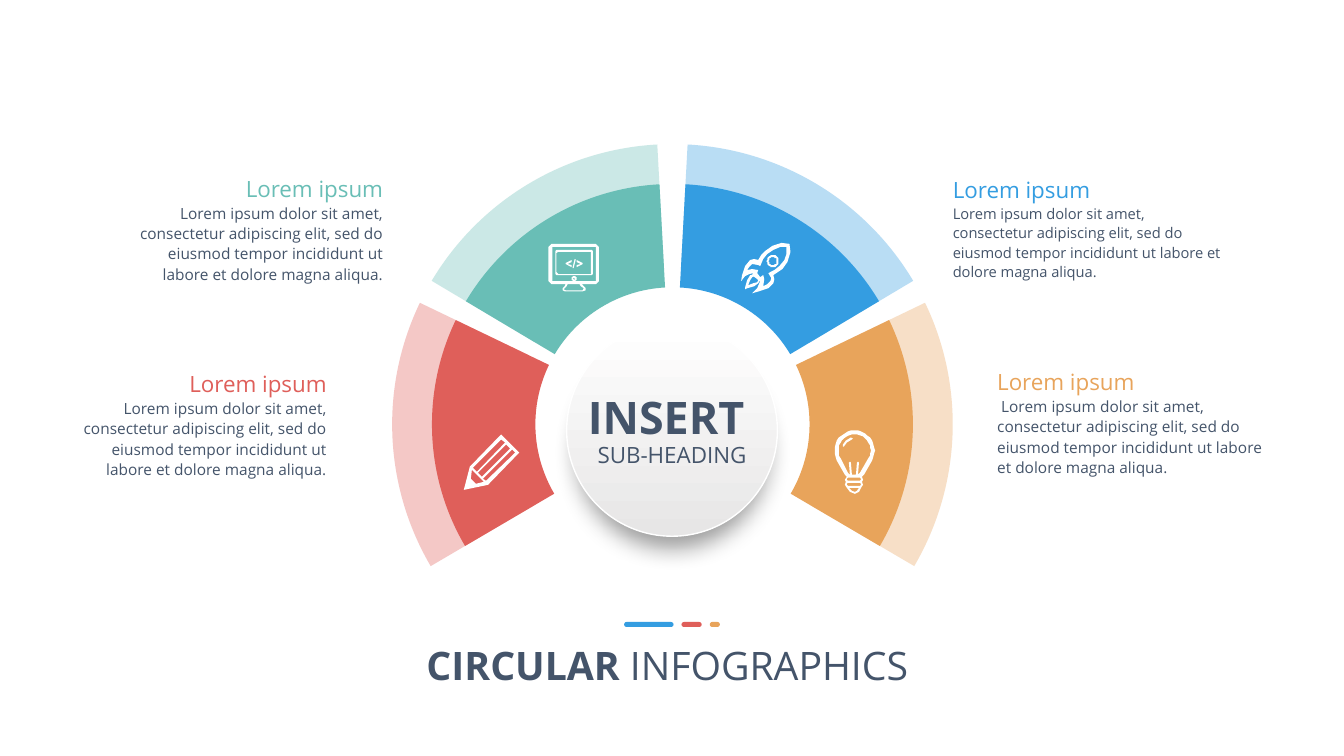
from dataclasses import dataclass
from math import cos, radians, sin

from lxml.etree import SubElement
from pptx import Presentation
from pptx.dml.color import RGBColor
from pptx.enum.shapes import MSO_SHAPE
from pptx.enum.text import MSO_ANCHOR, MSO_AUTO_SIZE, PP_ALIGN
from pptx.oxml.ns import qn
from pptx.util import Inches, Pt

# The grid has square cells of a hundredth of an inch.
CELL = Inches(0.01)
COLS, ROWS = 1333, 750
CENTRE = (667, 421)
FONT = "Open Sans"
INK, WHITE = "44546A", "FFFFFF"
BLUE, TEAL, ORANGE, RED = "349DE1", "69BEB6", "E8A45B", "DF5F5A"
LOREM = ("Lorem ipsum dolor sit amet, consectetur adipiscing elit, sed do "
         "eiusmod tempor incididunt ut labore et dolore magna aliqua.")

Contour = list[tuple[float, float]]


@dataclass
class Sector:
    colour: str
    start: float
    end: float
    box: tuple[float, float, float, float]
    align: PP_ALIGN
    size: float = 11
    body: str = LOREM


@dataclass
class Dash:
    colour: str
    left: int
    width: int


SECTORS = [
    Sector(BLUE, 273.1, 329.2, (933, 166, 292, 118), PP_ALIGN.LEFT, 10.5),
    Sector(TEAL, 210.8, 266.9, (120, 165, 272, 123), PP_ALIGN.RIGHT),
    Sector(ORANGE, 334.3, 30.4, (977, 357, 292, 122), PP_ALIGN.LEFT, body=" " + LOREM),
    Sector(RED, 149.6, 205.7, (64, 359, 272, 123), PP_ALIGN.RIGHT),
]
DASHES = [Dash(BLUE, 619, 49), Dash(RED, 676, 20), Dash(ORANGE, 704, 10)]


def rgb(colour: str) -> RGBColor:
    return RGBColor.from_string(colour)


def cells(*counts: float) -> list[int]:
    return [round(n * CELL) for n in counts]


def outline(text: str) -> Contour:
    """Turn 'x,y x,y ...' in grid cells into points."""
    return [tuple(float(n) for n in pair.split(",")) for pair in text.split()]


def arc(x: float, y: float, radius: float, start: int = 0, end: int = 350) -> Contour:
    return [(x + radius * cos(radians(a)), y + radius * sin(radians(a)))
            for a in range(start, end + 1, 10)]


def rounded(left: float, top: float, right: float, bottom: float, radius: float) -> Contour:
    corners = [(right - radius, bottom - radius, 0), (left + radius, bottom - radius, 90),
               (left + radius, top + radius, 180), (right - radius, top + radius, 270)]
    return [pt for x, y, a in corners for pt in arc(x, y, radius, a, a + 90)]


def ring(x: float, y: float, outer: float, inner: float) -> list[Contour]:
    return [arc(x, y, outer), arc(x, y, inner)]


PENCIL = [outline(t) for t in (
    "515,449 497,431 466,463 460,486 484,481",
    "482,477 479,475 508,446 511,449",
    "472,480 467,475 468,466 471,469 478,476 480,478",
    "506,445 478,473 474,469 502,441",
    "497,436 501,439 473,468 469,464")]
ROCKET = [outline(t) for t in (
    "735,279 736,273 739,264 744,258 748,257 752,258 755,253 759,249 766,244 775,241 "
    "783,242 784,250 781,260 776,267 767,273 768,277 767,281 762,286 753,289 746,291 "
    "751,286 754,279 747,274 746,273 747,271 743,272 739,274",
    "767,248 761,252 757,257 754,264 752,263 746,262 743,265 741,268 746,267 752,268 "
    "751,271 754,275 757,273 758,277 757,284 761,282 764,279 765,276 762,271 768,268 "
    "773,264 778,258 780,252 780,245 774,245")]
FLAME = [outline(t) for t in (
    "739,287 739,285 741,278 744,273 748,272 752,274 753.5,277.5 752,281 748,284 741,286",
    "750,275 748,274 746,275 744,278 742,283 747,281 751,280 751.5,277.5")]
BULB = [
    arc(847.5, 447, 20, 150, 390) + outline(
        "857,471 855,473 856,476 855,478 856,481 854,484 852,488 847.5,490 "
        "843,488 840,484 838,481 839,478 838,476 840,473 838,471"),
    arc(847.5, 447, 16, 150, 390) + outline(
        "853,469 851,471 852,459 851,458 850,459 849,471 845,471 844,459 843,458 "
        "842,459 843,471 841,469"),
    outline("842,484 852,484 850,487 847.5,488 845,487"),
    rounded(840, 479, 854, 482, 1.5),
    rounded(840, 474, 854, 477, 1.5)]
SHINE = [outline("844,434 839,437 836,441 836,443 837,443 840,439 845,436 845.5,435")]
MONITOR = [
    rounded(544, 242, 594, 282, 5), rounded(548, 245, 591, 279, 1),
    outline("561,282 560,284 558,286 558,288 560,289 578,289 581,288 581,286 579,284 577,282"),
    outline("563,282 575,282 576,284 579,286.5 578,288 561,288 559,287 562,284")]
SCREEN = [rounded(551, 248, 588, 273, 2), rounded(552.5, 250, 586.5, 271.5, 1)]
CODE_MARKS = [[outline(t)] for t in (
    "561,262 567,265 567,263 563,261.5 567,260 567,258 561,261",
    "570,257 568,265 568,266 569,266 571,258 571,257",
    "572,260 576,261.5 572,263 572,265 578,262 578,261 572,258")]
ICON_PARTS = [PENCIL, ROCKET, ring(766.5, 259, 6, 4), FLAME, BULB, SHINE,
              MONITOR, SCREEN, ring(569.5, 276.5, 2.5, 1), *CODE_MARKS]


def paint(sp, colour: str, opacity: int = 100) -> None:
    sp.shadow.inherit = False
    sp.fill.solid()
    sp.fill.fore_color.rgb = rgb(colour)
    sp.line.fill.background()
    if opacity < 100:
        clr = sp.fill._xPr.find(qn("a:solidFill"))[0]
        SubElement(clr, qn("a:alpha"), val=str(opacity * 1000))


def add_run(p, text: str, *, size: float, colour: str = INK, bold: bool = False) -> None:
    r = p.add_run()
    r.text = text
    r.font.name, r.font.size, r.font.bold = FONT, Pt(size), bold
    r.font.color.rgb = rgb(colour)


def draw_arc(shapes, sector: Sector, radius: float, opacity: int = 100) -> None:
    x, y = CENTRE
    sp = shapes.add_shape(MSO_SHAPE.BLOCK_ARC,
                          *cells(x - radius, y - radius, 2 * radius, 2 * radius))
    # One unit of an angle adjustment is 100000/60000 of a degree.
    for i, value in enumerate((sector.start * 0.6, sector.end * 0.6, 0.215)):
        sp.adjustments[i] = value
    paint(sp, sector.colour, opacity)


def draw_caption(shapes, sector: Sector) -> None:
    tf = shapes.add_textbox(*cells(*sector.box)).text_frame
    tf.word_wrap = True
    tf.margin_left = tf.margin_right = 12 * CELL
    tf.margin_top = tf.margin_bottom = 6 * CELL
    heading, body = tf.paragraphs[0], tf.add_paragraph()
    for p in (heading, body):
        p.alignment, p.line_spacing = sector.align, 1.1
    add_run(heading, "Lorem ipsum", size=16, colour=sector.colour)
    add_run(body, sector.body, size=sector.size)


def draw_hub(shapes) -> None:
    sp = shapes.add_shape(MSO_SHAPE.OVAL, *cells(562, 322, 209, 210))
    sp.shadow.inherit = False
    sp.fill.gradient()
    sp.fill.gradient_angle = 270
    for stop, colour in zip(sp.fill.gradient_stops, (WHITE, "E7E6E6")):
        stop.color.rgb = rgb(colour)
    sp.line.color.rgb, sp.line.width = rgb(WHITE), Pt(1)
    effects = sp._element.spPr.find(qn("a:effectLst"))
    shadow = SubElement(effects, qn("a:outerShdw"), blurRad=str(Pt(17)), dist=str(Pt(23)),
                        dir="5400000", sx="90000", sy="90000", algn="t", rotWithShape="0")
    clr = SubElement(shadow, qn("a:srgbClr"), val="000000")
    SubElement(clr, qn("a:alpha"), val="40000")


def draw_icon_part(shapes, contours: list[Contour]) -> None:
    pen = shapes.build_freeform(*contours[0][0], scale=CELL)
    for i, (start, *rest) in enumerate(contours):
        if i:
            pen.move_to(*start)
        pen.add_line_segments(rest, close=True)
    paint(pen.convert_to_shape(), WHITE)


def draw_hub_label(shapes) -> None:
    tf = shapes.add_textbox(*cells(522, 388, 289, 133)).text_frame
    tf.word_wrap = True
    p = tf.paragraphs[0]
    p.alignment, p.line_spacing = PP_ALIGN.CENTER, 0.9
    add_run(p, "INSERT ", size=32, bold=True)
    p.add_line_break()
    add_run(p, "SUB-HEADING", size=16)


def fill_title(title) -> None:
    title.left, title.top, title.width, title.height = cells(413, 631, 508, 47)
    tf = title.text_frame
    tf.word_wrap, tf.auto_size = False, MSO_AUTO_SIZE.SHAPE_TO_FIT_TEXT
    tf.vertical_anchor = MSO_ANCHOR.TOP
    p = tf.paragraphs[0]
    p.alignment = PP_ALIGN.LEFT
    add_run(p, "CIRCULAR", size=28, bold=True)
    add_run(p, " INFOGRAPHICS", size=28)


def main() -> None:
    prs = Presentation()
    prs.slide_width, prs.slide_height = cells(COLS, ROWS)
    s = prs.slides.add_slide(prs.slide_layouts[5])
    fill_title(s.shapes.title)
    for sector in SECTORS:
        draw_arc(s.shapes, sector, 278, opacity=34)
        draw_caption(s.shapes, sector)
    for sector in SECTORS:
        draw_arc(s.shapes, sector, 238.5)
    draw_hub(s.shapes)
    for contours in ICON_PARTS:
        draw_icon_part(s.shapes, contours)
    draw_hub_label(s.shapes)
    for dash in DASHES:
        sp = s.shapes.add_shape(MSO_SHAPE.ROUNDED_RECTANGLE, *cells(dash.left, 617, dash.width, 5))
        sp.adjustments[0] = 0.5
        paint(sp, dash.colour)
    prs.save("out.pptx")


if __name__ == "__main__":
    main()
